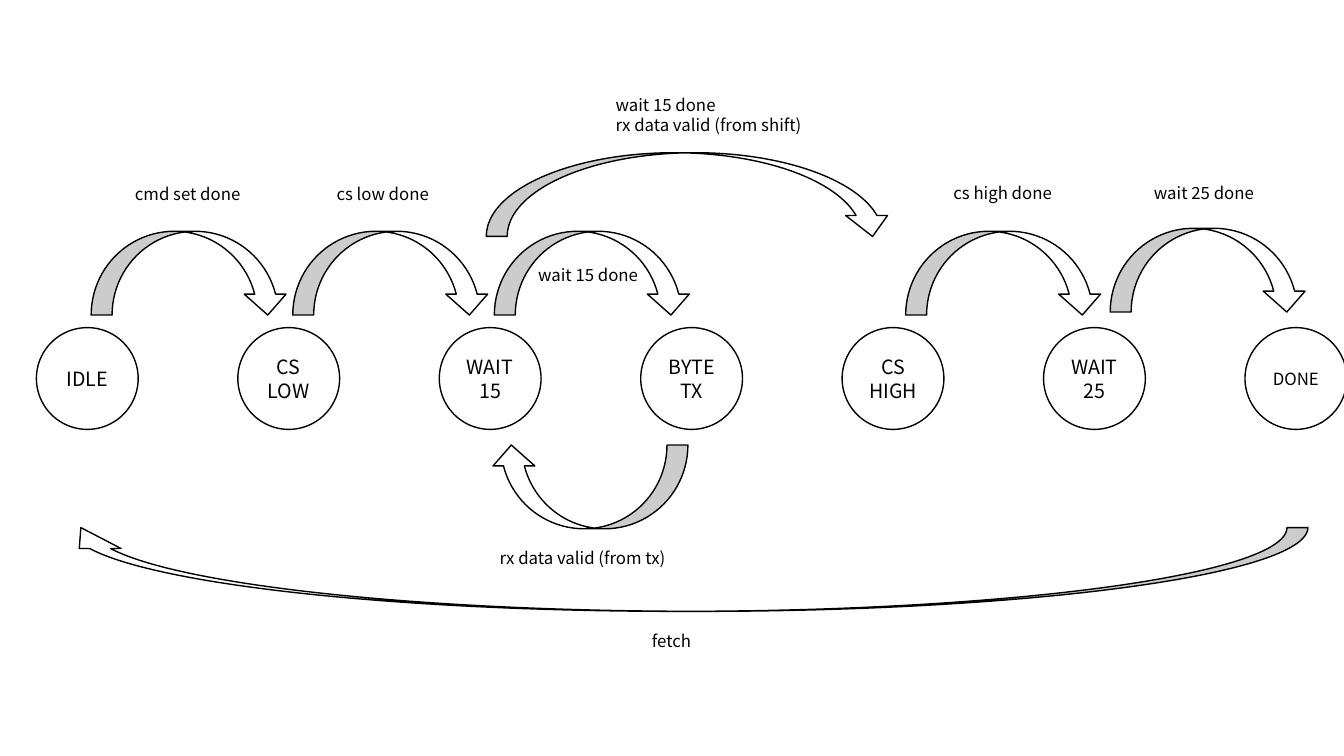
"""Build a state machine slide: states in a row, joined by curved arrows."""
from pptx import Presentation
from pptx.dml.color import RGBColor
from pptx.enum.shapes import MSO_SHAPE
from pptx.enum.text import MSO_ANCHOR, MSO_AUTO_SIZE, PP_ALIGN
from pptx.util import Pt

CIRCLE = MSO_SHAPE.OVAL
CURVED_ARROW = MSO_SHAPE.CURVED_LEFT_ARROW
CENTER, LEFT = PP_ALIGN.CENTER, PP_ALIGN.LEFT
MIDDLE, TOP = MSO_ANCHOR.MIDDLE, MSO_ANCHOR.TOP
FIT_SHAPE = MSO_AUTO_SIZE.SHAPE_TO_FIT_TEXT

COLORS = {"fill": "FFFFFF", "ink": "000000"}
FONT = "Noto Sans CJK KR"
STATE_LEFT, STATE_TOP, STATE_SIZE, STATE_PITCH = 26, 234, 72.7, 143.88
ARROW_DEPTH, ARROW_SPAN = 59.8, 141.1
FORWARD, BACK = 270, 90
LABEL_HEIGHT, LABEL_WIDTH = 21.6, 92.2

STATES = [
    ("IDLE", 14),
    ("CS\nLOW", 14),
    ("WAIT\n15", 14),
    ("BYTE\nTX", 14),
    ("CS\vHIGH", 14),
    ("WAIT\n25", 14),
    ("DONE", 12),
]
ARROWS = [
    (135.7, 195.1, ARROW_SPAN, FORWARD),
    (279.7, 195.1, ARROW_SPAN, FORWARD),
    (423.7, 195.1, ARROW_SPAN, FORWARD),
    (420.8, 347.8, ARROW_SPAN, BACK),
    (492.8, 139, 290.9, FORWARD),
    (717.5, 195.1, ARROW_SPAN, FORWARD),
    (488.5, 406.8, 891.4, BACK),
    (863.6, 193, ARROW_SPAN, FORWARD),
]
LABELS = [
    ("cmd set done", 89.3, 127.4, LABEL_WIDTH),
    ("cs low done", 233.3, 127.4, LABEL_WIDTH),
    ("wait 15 done", 377.3, 185.8, LABEL_WIDTH),
    ("rx data valid (from tx)", 349.9, 387.4, 160.6),
    ("wait 15 done\nrx data valid (from shift)", 432.7, 64.1, 156.2),
    ("cs high done", 673.9, 126.7, LABEL_WIDTH),
    ("wait 25 done", 817.2, 126.7, LABEL_WIDTH),
    ("fetch", 458.6, 447.1, 43.2),
]


def set_attributes(target, values):
    """Set each named value on the target."""
    for name, value in values.items():
        setattr(target, name, value)


def write_text(shape, text, size, alignment, frame_format):
    """Write the lines of text into a shape in the slide's font."""
    frame = shape.text_frame
    frame.text = text
    set_attributes(frame, {"word_wrap": True, **frame_format})
    for paragraph in frame.paragraphs:
        paragraph.alignment = alignment
        for run in paragraph.runs:
            set_attributes(run.font, {"name": FONT, "size": Pt(size)})
            run.font.color.rgb = RGBColor.from_string(COLORS["ink"])


def add_outlined(slide, kind, left, top, width, height):
    """Add a white preset shape with a thin black outline."""
    box = [Pt(length) for length in (left, top, width, height)]
    shape = slide.shapes.add_shape(kind, *box)
    shape.shadow.inherit = False
    shape.fill.solid()
    shape.fill.fore_color.rgb = RGBColor.from_string(COLORS["fill"])
    shape.line.color.rgb = RGBColor.from_string(COLORS["ink"])
    shape.line.width = Pt(1)
    return shape


def add_state(slide, index, name, size):
    """Add a state circle at its place in the row."""
    left = STATE_LEFT + index * STATE_PITCH
    circle = add_outlined(slide, CIRCLE, left, STATE_TOP, STATE_SIZE, STATE_SIZE)
    write_text(circle, name, size, CENTER, {"vertical_anchor": MIDDLE})


def add_arrow(slide, center_x, center_y, span, rotation):
    """Add a curved arrow turned about its centre."""
    left, top = center_x - ARROW_DEPTH / 2, center_y - span / 2
    arrow = add_outlined(slide, CURVED_ARROW, left, top, ARROW_DEPTH, span)
    arrow.rotation = rotation


def add_label(slide, text, left, top, width):
    """Add the condition of a transition."""
    label = slide.shapes.add_textbox(Pt(left), Pt(top), Pt(width), Pt(LABEL_HEIGHT))
    if "\n" in text:
        label.height = Pt(36)
    write_text(label, text, 12, LEFT, {"vertical_anchor": TOP, "auto_size": FIT_SHAPE})


def main():
    """Build and save the slide."""
    presentation = Presentation()
    set_attributes(presentation, {"slide_width": Pt(960), "slide_height": Pt(540)})
    slide = presentation.slides.add_slide(presentation.slide_layouts[6])
    for index, (name, size) in enumerate(STATES):
        add_state(slide, index, name, size)
    for arrow in ARROWS:
        add_arrow(slide, *arrow)
    for label in LABELS:
        add_label(slide, *label)
    presentation.save("out.pptx")


if __name__ == "__main__":
    main()
